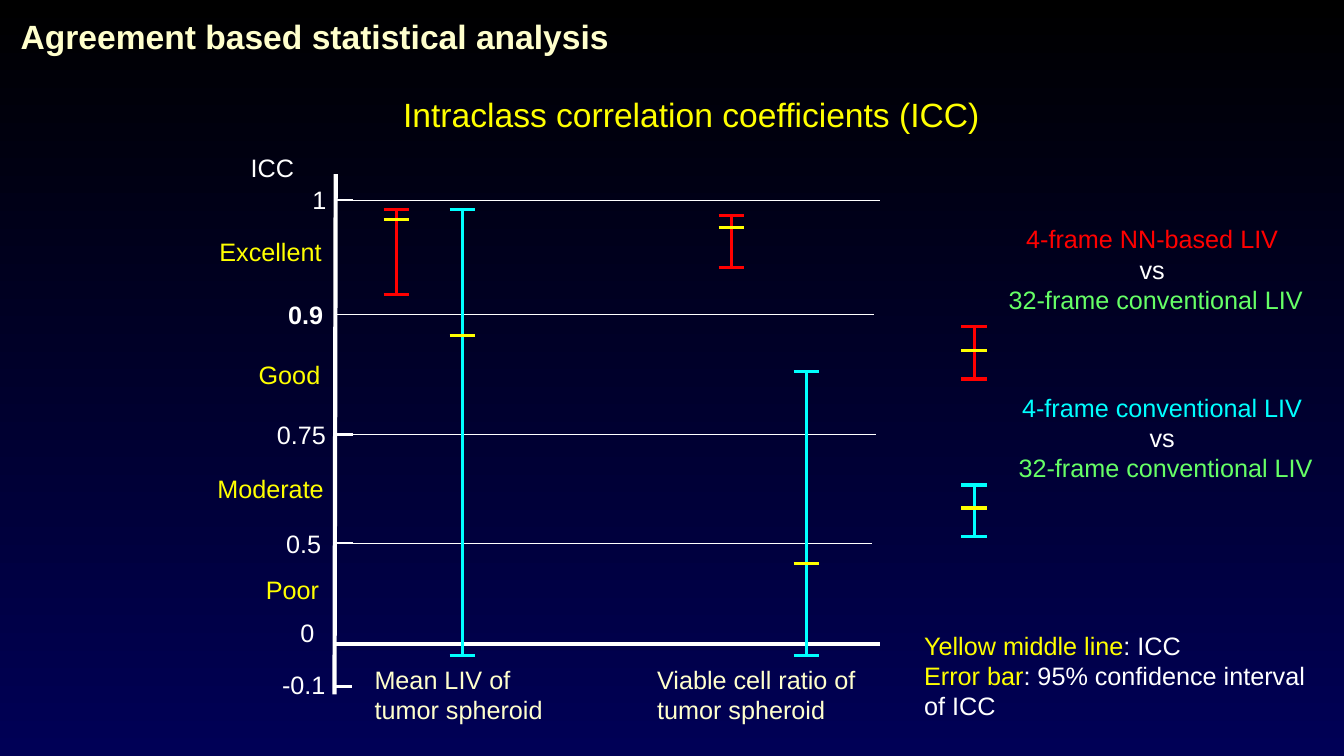
import pptx
import pptx.dml.color
import pptx.enum.shapes
import pptx.enum.text
import pptx.oxml.ns
import pptx.util
from lxml import etree
from pptx.util import Cm

WHITE, YELLOW, CREAM = "FFFFFF", "FFFF00", "FFFFCC"
RED, CYAN, GREEN = "FF0000", "00FFFF", "66FF66"
LEFT = pptx.enum.text.PP_ALIGN.LEFT
CENTER = pptx.enum.text.PP_ALIGN.CENTER
LABEL_HEIGHT = 1.02
TICK_LENGTH = 0.43
CAP_HALF = 0.32

# value, left, top, width, bold
SCALE_LABELS = [
    ("1", 7.62, 4.52, 0.84, False),
    ("0.9", 7.01, 7.42, 1.47, True),
    ("0.75", 6.73, 10.44, 2.16, False),
    ("0.5", 6.96, 13.18, 1.47, False),
    ("0", 7.32, 15.44, 1.47, False),
    ("-0.1", 6.86, 16.74, 2.01, False),
]
# rating, left, top, width
RATINGS = [
    ("Excellent", 5.28, 5.84, 3.12),
    ("Good", 6.27, 8.92, 2.16),
    ("Moderate", 5.23, 11.81, 3.25),
    ("Poor", 6.45, 14.35, 2.21),
]
# left, y
TICKS = [(8.46, 5.03), (8.46, 10.95), (8.46, 13.69), (8.43, 17.3)]
# left, right, y
GRIDLINES = [
    (8.64, 22.17, 5.05),
    (8.46, 22.02, 7.92),
    (8.53, 22.07, 10.95),
    (8.41, 21.97, 13.69),
]
# centre, top of interval, bottom of interval, ICC, colour
ERROR_BARS = [
    (9.99, 5.28, 7.42, 5.54, RED),
    (18.43, 5.44, 6.73, 5.74, RED),
    (11.65, 5.28, 16.51, 8.46, CYAN),
    (20.32, 9.37, 16.51, 14.2, CYAN),
    (24.55, 8.23, 9.55, 8.84, RED),
    (24.55, 12.22, 13.51, 12.8, CYAN),
]
# text, left, width
MEASURES = [
    ("Mean LIV of tumor spheroid", 9.19, 4.9),
    ("Viable cell ratio of tumor spheroid", 16.31, 5.77),
]
# compared method, its colour, left, top
COMPARISONS = [
    ("4-frame NN-based LIV ", RED, 24.97, 5.51),
    ("4-frame conventional LIV ", CYAN, 25.22, 9.75),
]


def rgb(value):
    return pptx.dml.color.RGBColor.from_string(value)


def apply_format(target, values):
    for name, value in values.items():
        setattr(target, name, value)


def paint_background(slide):
    fill = slide.background.fill
    fill.gradient()
    fill.gradient_angle = 270
    for stop, value in zip(fill.gradient_stops, ("000000", "000056")):
        stop.color.rgb = rgb(value)


def add_line(slide, x1, y1, x2, y2, color, width):
    line = slide.shapes.add_connector(
        pptx.enum.shapes.MSO_CONNECTOR.STRAIGHT, Cm(x1), Cm(y1), Cm(x2), Cm(y2))
    line.line.color.rgb = rgb(color)
    line.line.width = pptx.util.Pt(width)
    properties = line._element.spPr
    etree.SubElement(properties, pptx.oxml.ns.qn("a:effectLst"))


def add_text(slide, at, paragraphs, size=18, bold=False, align=LEFT, **frame_format):
    """Each paragraph is a list of (text, colour) runs."""
    frame = slide.shapes.add_textbox(*map(Cm, at)).text_frame
    apply_format(frame, {
        "word_wrap": True,
        "auto_size": pptx.enum.text.MSO_AUTO_SIZE.SHAPE_TO_FIT_TEXT,
        **frame_format,
    })
    for index, runs in enumerate(paragraphs):
        paragraph = frame.add_paragraph() if index else frame.paragraphs[0]
        paragraph.alignment = align
        for text, color in runs:
            run = paragraph.add_run()
            run.text = text
            apply_format(run.font, {
                "name": "Arial", "size": pptx.util.Pt(size), "bold": bold})
            run.font.color.rgb = rgb(color)
    return frame


def add_error_bar(slide, center, top, bottom, icc, color):
    add_line(slide, center, top, center, bottom, color, 2.25)
    for y, cap_color in ((top, color), (bottom, color), (icc, YELLOW)):
        add_line(slide, center - CAP_HALF, y, center + CAP_HALF, y, cap_color, 2.25)


def add_axes(slide):
    add_line(slide, 8.46, 16.23, 22.17, 16.23, WHITE, 3)
    add_line(slide, 8.43, 17.5, 8.46, 4.39, WHITE, 3)
    for left, y in TICKS:
        add_line(slide, left, y, left + TICK_LENGTH, y, WHITE, 1.5)
    for left, right, y in GRIDLINES:
        add_line(slide, left, y, right, y, WHITE, 0.5)
    add_text(slide, (6.07, 3.71, 1.68, LABEL_HEIGHT), [[("ICC", WHITE)]])
    for value, left, top, width, bold in SCALE_LABELS:
        add_text(slide, (left, top, width, LABEL_HEIGHT), [[(value, WHITE)]], bold=bold)
    for rating, left, top, width in RATINGS:
        add_text(slide, (left, top, width, LABEL_HEIGHT), [[(rating, YELLOW)]])
    for measure, left, width in MEASURES:
        add_text(slide, (left, 16.61, width, 1.8), [[(measure, CREAM)]])


def add_legend(slide):
    for method, color, left, top in COMPARISONS:
        add_text(slide, (left, top, 8.31, 2.57), [
            [(method, color)],
            [("vs ", WHITE)],
            [("32-frame conventional LIV", GREEN)],
        ], align=CENTER)
    add_text(slide, (23.04, 15.75, 10.49, 2.57), [
        [("Yellow middle line", YELLOW), (": ICC", WHITE)],
        [("Error bar", YELLOW), (": 95% confidence interval of ICC", WHITE)],
    ])


def main():
    deck = pptx.Presentation()
    apply_format(deck, {"slide_width": Cm(33.87), "slide_height": Cm(19.05)})
    slide = deck.slides.add_slide(deck.slide_layouts[6])
    paint_background(slide)
    title = add_text(slide, (0, 0.36, 15.7, 1.22),
                     [[("Agreement based statistical analysis", CREAM)]],
                     size=24, bold=True, word_wrap=False, margin_left=Cm(0.52))
    title.paragraphs[0].line_spacing = 0.95
    add_text(slide, (9.91, 2.24, 16.94, 1.27),
             [[("Intraclass correlation coefficients (ICC)", YELLOW)]], size=24)
    add_axes(slide)
    for bar in ERROR_BARS:
        add_error_bar(slide, *bar)
    add_legend(slide)
    deck.save("out.pptx")


if __name__ == "__main__":
    main()
